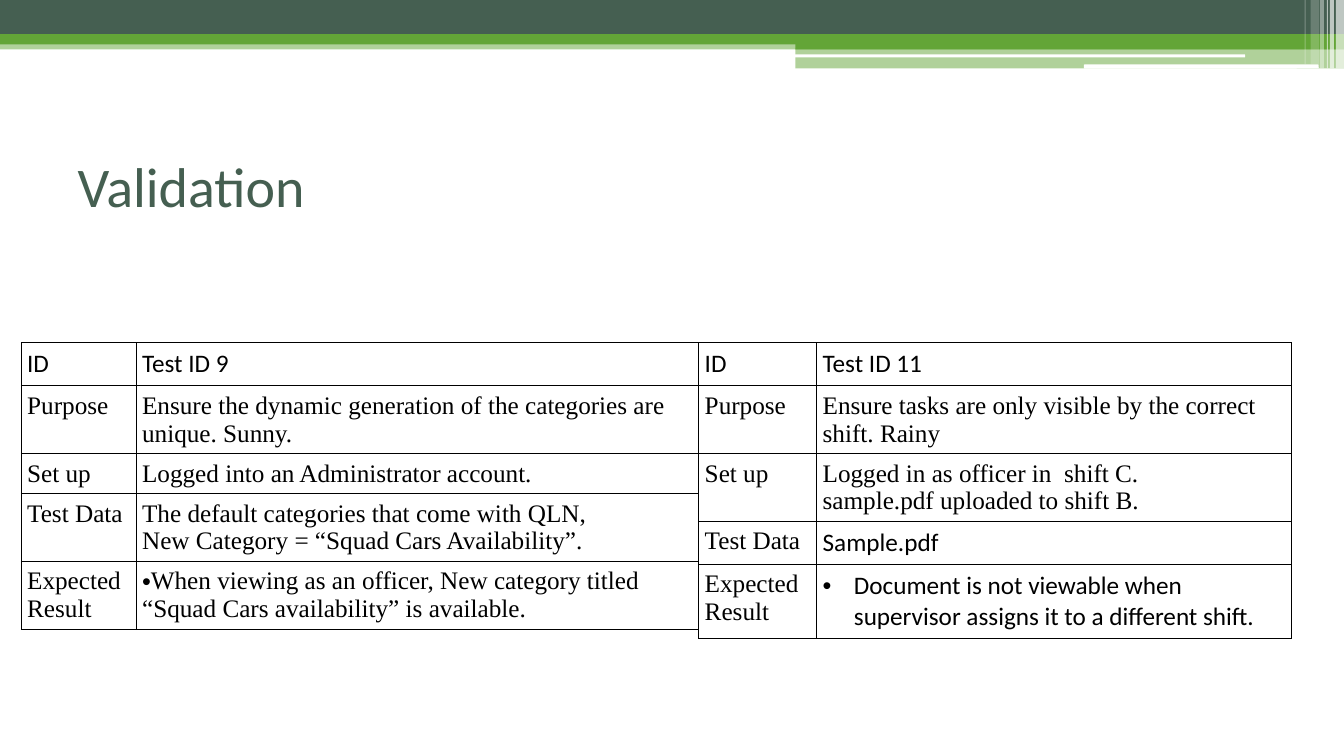
from lxml import etree
from pptx import Presentation
from pptx import util as u
from pptx.dml.color import RGBColor
from pptx.enum import shapes, text
from pptx.oxml.ns import qn

PX = 9144  # EMU per px, 100 px to the inch
SLATE = RGBColor(0x45, 0x5F, 0x51)
GREEN = RGBColor(0x63, 0xA5, 0x37)
WHITE = RGBColor(0xFF, 0xFF, 0xFF)
BLACK = RGBColor(0, 0, 0)
SANS, SERIF = "Calibri", "Times New Roman"
RECT = shapes.MSO_SHAPE.RECTANGLE
ROUND = shapes.MSO_SHAPE.ROUNDED_RECTANGLE

TITLE = "Validation"
TITLE_BOX = (67, 125, 1200, 117)

# Header bars: left, top, width, height, preset, colour, opacity in percent
BARS = [
    (0, 40, 1333, 9, RECT, GREEN, 50),
    (0, 0, 1333, 34, RECT, SLATE, 100),
    (0, 34, 1333, 10, RECT, GREEN, 100),
    (789, 39, 544, 10, RECT, GREEN, 100),
    (789, 48, 544, 20, RECT, GREEN, 50),
    (788, 54, 447, 3, ROUND, WHITE, 100),
    (1075, 64, 233, 4, ROUND, WHITE, 100),
    (1325, 0, 8, 68, RECT, WHITE, 65),
    (1319, 0, 4, 68, RECT, WHITE, 65),
    (1316, 0, 1, 68, RECT, WHITE, 60),
    (1309, 0, 4, 68, RECT, WHITE, 40),
    (1300, 0, 8, 64, RECT, WHITE, 20),
    (1294, 0, 1, 64, RECT, WHITE, 30),
]

LABELS = ["ID", "Purpose", "Set up", "Test Data", "Expected Result"]
TABLE_TOP, CELL_INSET = 340, 6
# Only the last answer has a bullet; hang is its indent
TESTS = [
    dict(left=21, cols=(114, 558), rows=(42, 66, 39, 67, 66), hang=0,
         fonts=(SANS, SERIF, SERIF, SERIF, SERIF),
         answers=["Test ID 9",
                  "Ensure the dynamic generation of the categories are unique. Sunny.",
                  "Logged into an Administrator account.",
                  "The default categories that come with QLN,\n"
                  "New Category = “Squad Cars Availability”.",
                  "When viewing as an officer, New category titled "
                  "“Squad Cars availability” is available."]),
    dict(left=693, cols=(117, 471), rows=(42, 66, 67, 42, 72), hang=31,
         fonts=(SANS, SERIF, SERIF, SANS, SANS),
         answers=["Test ID 11",
                  "Ensure tasks are only visible by the correct shift. Rainy",
                  "Logged in as officer in  shift C.\nsample.pdf uploaded to shift B.",
                  "Sample.pdf",
                  "Document is not viewable when supervisor assigns it "
                  "to a different shift."]),
]


def px(*lengths):
    return [n * PX for n in lengths]


def style(tf, font, size, color):
    for p in tf.paragraphs:
        for r in p.runs:
            r.font.name, r.font.size, r.font.color.rgb = font, u.Pt(size), color


def add_bar(s, left, top, width, height, preset, color, opacity):
    sp = s.shapes.add_shape(preset, *px(left, top, width, height))
    sp.shadow.inherit = False
    sp.line.fill.background()
    sp.fill.solid()
    sp.fill.fore_color.rgb = color
    if opacity < 100:
        clr = sp.fill._xPr.find(".//" + qn("a:srgbClr"))
        etree.SubElement(clr, qn("a:alpha"), val=str(opacity * 1000))


def add_borders(cell):
    tc_pr = cell._tc.get_or_add_tcPr()
    for i, side in enumerate(("lnL", "lnR", "lnT", "lnB")):
        ln = etree.Element(qn("a:" + side), w=str(u.Pt(0.6)))
        fill = etree.SubElement(ln, qn("a:solidFill"))
        etree.SubElement(fill, qn("a:srgbClr"), val=str(BLACK))
        tc_pr.insert(i, ln)


def add_bullet(p, hang):
    p_pr = p._p.get_or_add_pPr()
    p_pr.set("marL", str(hang * PX))
    p_pr.set("indent", str(-hang * PX))
    etree.SubElement(p_pr, qn("a:buFont"), typeface="Arial")
    etree.SubElement(p_pr, qn("a:buChar"), char="•")


def fill_cell(cell, words, font):
    cell.margin_left = cell.margin_right = CELL_INSET * PX
    cell.margin_top = cell.margin_bottom = CELL_INSET * PX
    cell.fill.background()
    add_borders(cell)
    cell.text_frame.text = words
    style(cell.text_frame, font, 18, BLACK)


def add_test(s, left, cols, rows, hang, fonts, answers):
    frame = s.shapes.add_table(len(rows), len(cols),
                               *px(left, TABLE_TOP, sum(cols), sum(rows)))
    tbl = frame.table
    tbl.first_row = tbl.horz_banding = False
    for col, width in zip(tbl.columns, cols):
        col.width = width * PX
    for i, height in enumerate(rows):
        tbl.rows[i].height = height * PX
        fill_cell(tbl.cell(i, 0), LABELS[i], SERIF if i else SANS)
        fill_cell(tbl.cell(i, 1), answers[i], fonts[i])
    add_bullet(tbl.cell(len(rows) - 1, 1).text_frame.paragraphs[0], hang)


def main():
    prs = Presentation()
    prs.slide_width, prs.slide_height = px(1333, 750)
    s = prs.slides.add_slide(prs.slide_layouts[5])

    # Header decoration
    for bar in BARS:
        add_bar(s, *bar)

    # Title
    title = s.shapes.title
    title.left, title.top, title.width, title.height = px(*TITLE_BOX)
    tf = title.text_frame
    tf.text = TITLE
    tf.vertical_anchor = text.MSO_ANCHOR.MIDDLE
    tf.paragraphs[0].alignment = text.PP_ALIGN.LEFT
    style(tf, SANS, 40, SLATE)

    # Test tables
    for test in TESTS:
        add_test(s, **test)

    prs.save("out.pptx")


if __name__ == "__main__":
    main()
